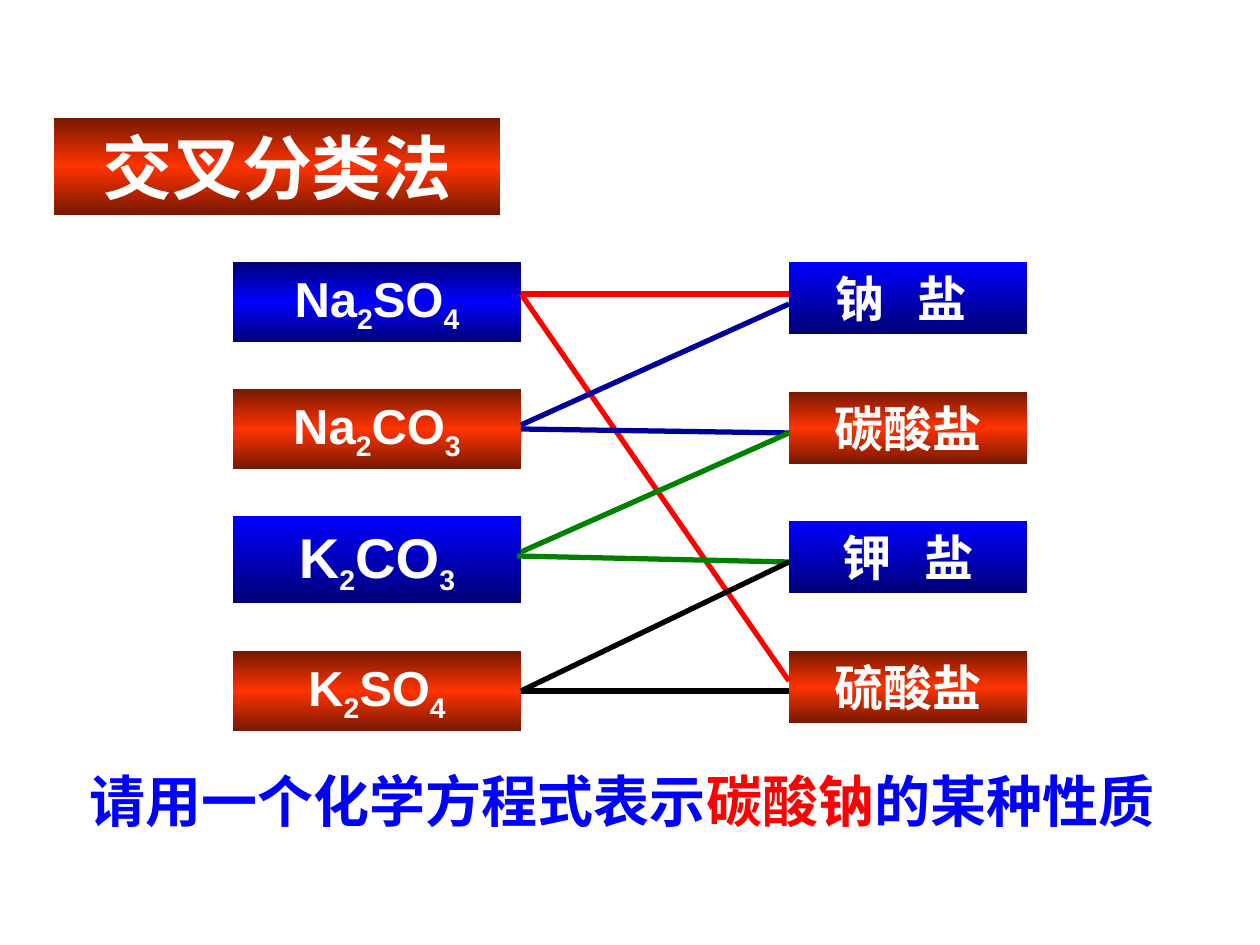
import itertools

import pptx
import pptx.dml.color
import pptx.enum.shapes
import pptx.enum.text
import pptx.oxml
import pptx.oxml.ns
import pptx.util

PX = 914400 / 126
CHINESE = "Noto Sans CJK SC"
WHITE = "FFFFFF"
BLUE_BAND = ["000076", "0000FF", "000076"]
BLUE_FADE = ["0000FF", "000076"]
RED_BAND = ["761800", "FF3300", "761800"]


def px(length):
    return pptx.util.Emu(round(length * PX))


def color(hex_text):
    return pptx.dml.color.RGBColor.from_string(hex_text)


def fill_gradient(shape, colors):
    """Fill from top to bottom with evenly spaced colours."""
    shape.fill.background()
    last = len(colors) - 1
    stops = "".join(
        f'<a:gs pos="{100000 * i // last}"><a:srgbClr val="{c}"/></a:gs>'
        for i, c in enumerate(colors))
    gradient = pptx.oxml.parse_xml(
        f'<a:gradFill {pptx.oxml.ns.nsdecls("a")} rotWithShape="1"><a:gsLst>{stops}</a:gsLst>'
        '<a:lin ang="5400000" scaled="1"/></a:gradFill>')
    properties = shape._element.spPr
    properties.replace(properties.find(pptx.oxml.ns.qn("a:noFill")), gradient)


def format_frame(shape):
    """Prepare the text frame and return its centred first paragraph."""
    frame = shape.text_frame
    settings = {
        "word_wrap": True,
        "auto_size": pptx.enum.text.MSO_AUTO_SIZE.NONE,
        "vertical_anchor": pptx.enum.text.MSO_ANCHOR.MIDDLE,
        "margin_left": px(13), "margin_right": px(13),
        "margin_top": px(6), "margin_bottom": px(6),
    }
    for name, value in settings.items():
        setattr(frame, name, value)
    paragraph = frame.paragraphs[0]
    paragraph.alignment = pptx.enum.text.PP_ALIGN.CENTER
    return paragraph


def add_run(paragraph, text, size, hex_text=WHITE, font_name="Arial", **attributes):
    run = paragraph.add_run()
    run.text = text
    settings = {"size": pptx.util.Pt(size), "bold": True, "name": font_name}
    for name, value in settings.items():
        setattr(run.font, name, value)
    run.font.color.rgb = color(hex_text)
    properties = run._r.get_or_add_rPr()
    for name, value in attributes.items():
        properties.set(name, value)
    east_asian = pptx.oxml.parse_xml(
        f'<a:ea {pptx.oxml.ns.nsdecls("a")} typeface="{CHINESE}"/>')
    properties.find(pptx.oxml.ns.qn("a:latin")).addnext(east_asian)


def add_box(slide, left, top, width, height, colors):
    box = slide.shapes.add_shape(pptx.enum.shapes.MSO_SHAPE.RECTANGLE,
                                 px(left), px(top), px(width), px(height))
    box.shadow.inherit = False
    box.line.fill.background()
    fill_gradient(box, colors)
    return box


def place_title(slide, left, top, width, height):
    title = slide.shapes.title
    title.left, title.top, title.width, title.height = map(px, (left, top, width, height))
    fill_gradient(title, RED_BAND)
    add_run(format_frame(title), "交叉分类法", 40)


def add_formulas(slide, left, top, width):
    """Stack the compounds, with their digits as subscripts."""
    rows = [("Na2SO4", 0, 80, BLUE_BAND, 28), ("Na2CO3", 127, 80, RED_BAND, 28),
            ("K2CO3", 254, 87, BLUE_FADE, 32), ("K2SO4", 389, 80, RED_BAND, 28)]
    boxes = []
    for formula, offset, height, colors, size in rows:
        box = add_box(slide, left, top + offset, width, height, colors)
        paragraph = format_frame(box)
        for is_digit, letters in itertools.groupby(formula, str.isdigit):
            if is_digit:
                add_run(paragraph, "".join(letters), 28, baseline="-25000")
            else:
                add_run(paragraph, "".join(letters), size)
        boxes.append(box)
    return boxes


def add_salts(slide, left, top, width, height):
    """Stack the salt classes; a space in a name is a wide gap."""
    box_height = 72
    rows = [("钠 盐", BLUE_FADE, CHINESE, 27), ("碳酸盐", RED_BAND, "Arial", 13),
            ("钾 盐", BLUE_FADE, CHINESE, 13), ("硫酸盐", RED_BAND, "Arial", 13)]
    step = (height - box_height) / (len(rows) - 1)
    for i, (name, colors, font_name, right_margin) in enumerate(rows):
        box = add_box(slide, left, top + i * step, width, box_height, colors)
        paragraph = format_frame(box)
        box.text_frame.margin_right = px(right_margin)
        for is_space, letters in itertools.groupby(name, str.isspace):
            spacing = {"spc": "1250"} if is_space else {}
            add_run(paragraph, "".join(letters), 28, font_name=font_name, **spacing)


def add_links(slide, left, top, width, formulas):
    """Join each compound to its two classes; a box index marks a joined start."""
    links = [("FF0000", 0, 32, 32, None), ("FF0000", 0, 32, 419, None),
             ("000099", 0, 163, 42, None), ("000099", 0, 167, 171, 1),
             ("008000", -4, 294, 300, None), ("008000", 0, 290, 171, None),
             ("000000", 0, 429, 300, 3), ("000000", 0, 429, 429, 3)]
    for hex_text, shift, start, end, joined in links:
        link = slide.shapes.add_connector(
            pptx.enum.shapes.MSO_CONNECTOR.STRAIGHT,
            px(left + shift), px(top + start), px(left + width), px(top + end))
        link.line.color.rgb = color(hex_text)
        link.line.width = pptx.util.Pt(3)
        link._element.spPr.append(
            pptx.oxml.parse_xml(f'<a:effectLst {pptx.oxml.ns.nsdecls("a")}/>'))
        if joined is not None:
            link.begin_connect(formulas[joined], 3)


def add_question(slide, left, top, width, height):
    box = slide.shapes.add_textbox(px(left), px(top), px(width), px(height))
    paragraph = format_frame(box)
    for text, hex_text in [("请用一个化学方程式表示", "0000FF"), ("碳酸钠", "FF0000"),
                           ("的某种性质", "0000FF")]:
        add_run(paragraph, text, 32, hex_text, CHINESE)


def main():
    presentation = pptx.Presentation()
    presentation.slide_width, presentation.slide_height = px(1260), px(945)
    slide = presentation.slides.add_slide(presentation.slide_layouts[5])
    place_title(slide, 54, 118, 446, 97)
    formulas = add_formulas(slide, 233, 262, 288)
    add_salts(slide, 789, 262, 238, 461)
    add_links(slide, 521, 262, 268, formulas)
    add_question(slide, 64, 760, 1116, 81)
    presentation.save("out.pptx")


if __name__ == "__main__":
    main()
